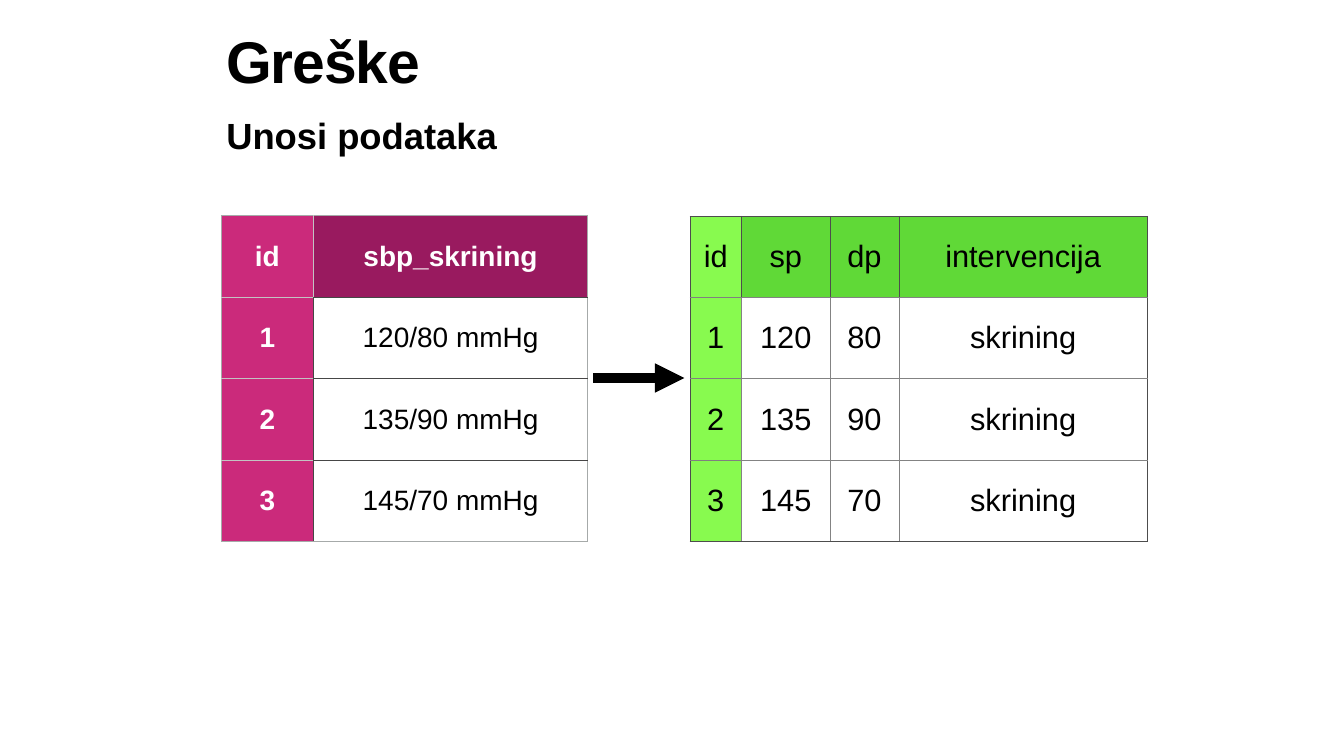
"""Builds the slide on data entry errors: one column split into two."""
from dataclasses import dataclass

from lxml.etree import SubElement as Sub
from pptx import Presentation
from pptx.dml.color import RGBColor
from pptx.enum.shapes import MSO_CONNECTOR as Link
from pptx.enum.text import MSO_ANCHOR as Anchor, PP_ALIGN as Align
from pptx.oxml.ns import qn
from pptx.util import Inches, Pt

WIDE, HIGH = Inches(26.67), Inches(15)
FONT = "Arial"
HUES = {
    "ink": "000000", "paper": "FFFFFF",
    "plum": "991A5F", "pink": "CB2A7B", "ash": "A6AAA9", "mist": "C3C3C3", "coal": "464646",
    "leaf": "60D937", "lime": "88FA4F", "dark": "4D4D4D", "mid": "808080", "grey": "838383",
}


@dataclass(frozen=True)
class Box:
    """Place and size in percent of the slide."""
    left: float
    top: float
    wide: float
    high: float

    def spans(self) -> tuple[int, int, int, int]:
        return across(self.left), down(self.top), across(self.wide), down(self.high)


@dataclass(frozen=True)
class Look:
    """Hue names and type of a table."""
    head: str
    key: str
    label: str
    edge: str
    split: str
    rung: str
    grid: str
    size: int
    bold: bool


@dataclass(frozen=True)
class Sheet:
    """A table with its place, column widths and rows."""
    left: float
    top: float
    step: float
    cols: tuple[float, ...]
    rows: tuple[tuple[str, ...], ...]
    look: Look


def across(share: float) -> int:
    return round(WIDE * share / 100)


def down(share: float) -> int:
    return round(HIGH * share / 100)


def tint(hue: str) -> RGBColor:
    return RGBColor.from_string(HUES[hue])


def write(para, text: str, size: int, hue: str, bold: bool):
    run = para.add_run()
    run.text = text
    font = run.font
    font.name, font.size, font.bold = FONT, Pt(size), bold
    font.color.rgb = tint(hue)
    return run


def fill_holder(shape, box: Box, text: str, size: int, anchor: Anchor):
    shape.left, shape.top, shape.width, shape.height = box.spans()
    frame = shape.text_frame
    frame.word_wrap, frame.vertical_anchor = True, anchor
    frame.margin_left = frame.margin_right = Inches(0.08)
    frame.margin_top = frame.margin_bottom = Inches(0.08)
    para = frame.paragraphs[0]
    props = para._p.get_or_add_pPr()
    props.set("marL", "0")
    props.set("indent", "0")
    Sub(props, qn("a:buNone"))
    para.alignment, para.space_before = Align.LEFT, Pt(0)
    return para, write(para, text, size, "ink", True)


def rule(cell, sides: dict[str, str]) -> None:
    props = cell._tc.get_or_add_tcPr()
    for spot, (side, hue) in enumerate(sides.items()):
        line = props.makeelement(qn(f"a:ln{side}"), {"w": str(Pt(1))})
        solid = Sub(line, qn("a:solidFill"))
        Sub(solid, qn("a:srgbClr"), val=HUES[hue])
        props.insert(spot, line)


def sides_of(row: int, col: int, sheet: Sheet) -> dict[str, str]:
    look = sheet.look
    last_row, last_col = len(sheet.rows) - 1, len(sheet.cols) - 1
    post = look.grid if row else look.split
    rung = look.grid if col else look.rung
    return {
        "L": post if col else look.edge,
        "R": post if col < last_col else look.edge,
        "T": rung if row else look.edge,
        "B": rung if row < last_row else look.edge,
    }


def draw_sheet(slide, sheet: Sheet) -> None:
    look = sheet.look
    count = len(sheet.rows)
    box = Box(sheet.left, sheet.top, sum(sheet.cols), sheet.step * count)
    table = slide.shapes.add_table(count, len(sheet.cols), *box.spans()).table
    table.first_row = table.horz_banding = False
    for col, share in zip(table.columns, sheet.cols):
        col.width = across(share)
    for y, texts in enumerate(sheet.rows):
        table.rows[y].height = down(sheet.step)
        for x, text in enumerate(texts):
            cell = table.cell(y, x)
            lead = x == 0 or y == 0
            cell.fill.solid()
            cell.fill.fore_color.rgb = tint(look.key if x == 0 else "paper" if y else look.head)
            cell.vertical_anchor = Anchor.MIDDLE
            cell.margin_left = cell.margin_right = Inches(0.06)
            cell.margin_top = cell.margin_bottom = Inches(0.06)
            para = cell.text_frame.paragraphs[0]
            para.alignment = Align.CENTER
            write(para, text, look.size, look.label if lead else "ink", lead and look.bold)
            rule(cell, sides_of(y, x, sheet))


def draw_arrow(slide, start: float, end: float, level: float) -> None:
    arrow = slide.shapes.add_connector(
        Link.STRAIGHT, across(start), down(level), across(end), down(level))
    arrow.line.width = Pt(14)
    arrow.line.color.rgb = tint("ink")
    Sub(arrow.line._get_or_add_ln(), qn("a:tailEnd"), type="triangle")
    Sub(arrow._element.spPr, qn("a:effectLst"))


RAW = Sheet(
    16.46, 28.53, 10.78, (6.86, 20.4),
    (("id", "sbp_skrining"), ("1", "120/80 mmHg"), ("2", "135/90 mmHg"), ("3", "145/70 mmHg")),
    Look("plum", "pink", "paper", "ash", "mist", "mist", "coal", 40, True))
CLEAN = Sheet(
    51.33, 28.6, 10.75, (3.86, 6.56, 5.14, 18.49),
    (("id", "sp", "dp", "intervencija"), ("1", "120", "80", "skrining"),
     ("2", "135", "90", "skrining"), ("3", "145", "70", "skrining")),
    Look("leaf", "lime", "ink", "dark", "dark", "mid", "grey", 44, False))


def main() -> None:
    deck = Presentation()
    deck.slide_width, deck.slide_height = WIDE, HIGH
    slide = deck.slides.add_slide(deck.slide_layouts[1])
    title, body = slide.placeholders
    para, run = fill_holder(title, Box(16.54, 4.53, 66.93, 10.4), "Greške", 84, Anchor.TOP)
    para.line_spacing = 0.8
    run.font._element.set("spc", "-170")
    fill_holder(body, Box(16.54, 14.47, 66.93, 6.87), "Unosi podataka", 52, Anchor.MIDDLE)
    for sheet in (RAW, CLEAN):
        draw_sheet(slide, sheet)
    draw_arrow(slide, 44.13, 50.92, 50)
    deck.save("out.pptx")


if __name__ == "__main__":
    main()
